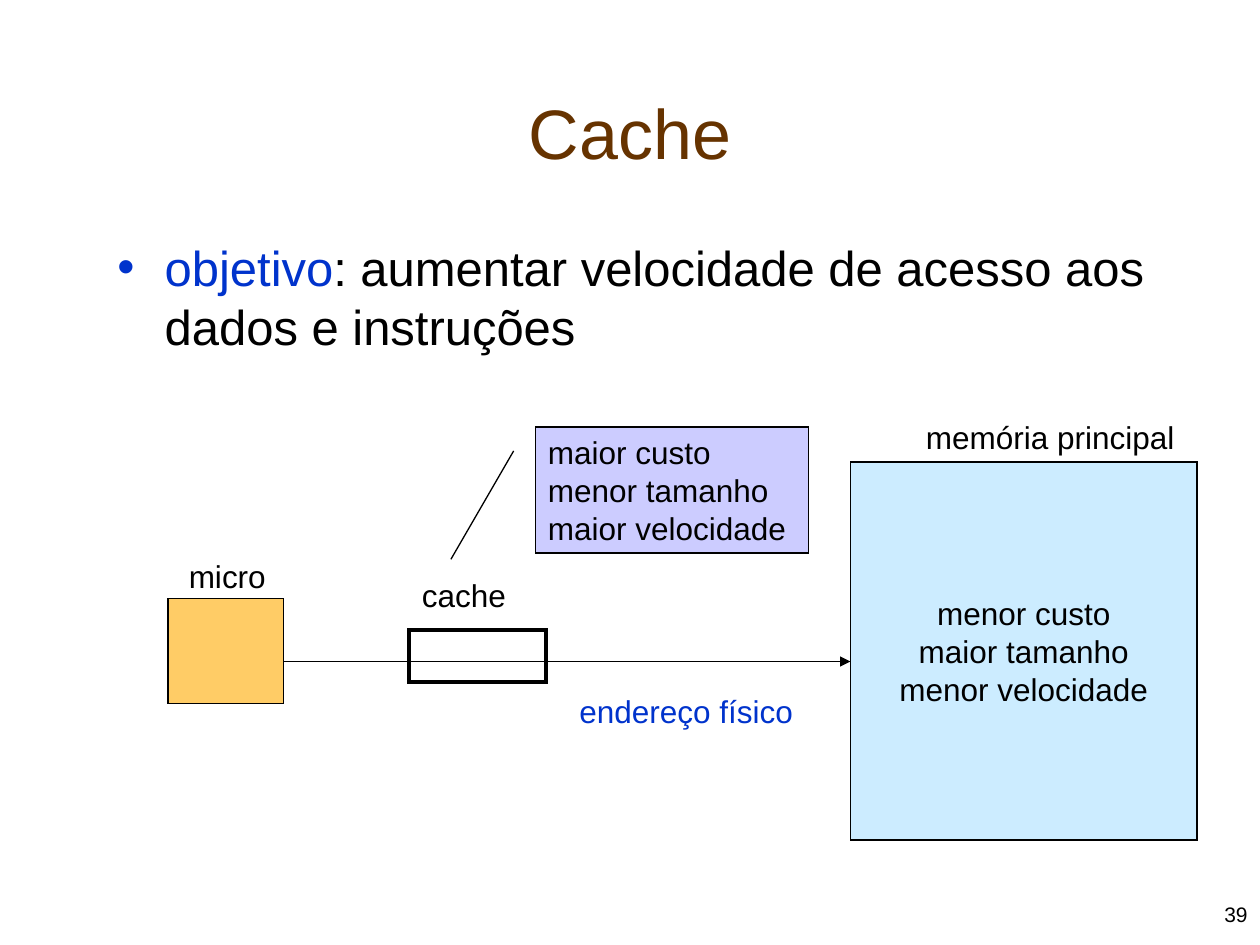
from dataclasses import dataclass

from lxml.etree import SubElement
from pptx import Presentation
from pptx.dml.color import RGBColor
from pptx.enum.shapes import MSO_CONNECTOR, MSO_SHAPE
from pptx.enum.text import MSO_ANCHOR, MSO_AUTO_SIZE, PP_ALIGN
from pptx.oxml.ns import qn
from pptx.util import Pt

BLACK = RGBColor(0x00, 0x00, 0x00)
WHITE = RGBColor(0xFF, 0xFF, 0xFF)
BLUE = RGBColor(0x00, 0x33, 0xCC)
BROWN = RGBColor(0x66, 0x33, 0x00)
AMBER = RGBColor(0xFF, 0xCC, 0x66)
SKY = RGBColor(0xCC, 0xEC, 0xFF)
LILAC = RGBColor(0xCC, 0xCC, 0xFF)
FONT = "Arial"
AXIS = 378  # height of the address line


@dataclass
class Box:
    left: float
    top: float
    width: float
    height: float
    fill: RGBColor
    line: float = 0.75
    kind: MSO_SHAPE = MSO_SHAPE.RECTANGLE
    adjust: tuple = ()


@dataclass
class Label:
    text: str
    left: float
    top: float
    width: float
    height: float = 29
    size: float = 18
    color: RGBColor = BLACK
    align: PP_ALIGN = PP_ALIGN.LEFT
    anchor: MSO_ANCHOR = MSO_ANCHOR.TOP
    wrap: bool = False


def put_text(shape, *lines, size: float = 18, color: RGBColor = BLACK,
             align: PP_ALIGN = PP_ALIGN.LEFT,
             anchor: MSO_ANCHOR = MSO_ANCHOR.TOP, wrap: bool = True):
    """Write lines; a line is a string or a list of (text, color) runs."""
    frame = shape.text_frame
    frame.word_wrap = wrap
    frame.vertical_anchor = anchor
    for index, line in enumerate(lines):
        para = frame.add_paragraph() if index else frame.paragraphs[0]
        para.alignment = align
        runs = [(line, color)] if isinstance(line, str) else line
        for text, tint in runs:
            run = para.add_run()
            run.text = text
            run.font.name = FONT
            run.font.size = Pt(size)
            run.font.color.rgb = tint
    return frame


def draw_box(slide, box: Box):
    shape = slide.shapes.add_shape(box.kind, Pt(box.left), Pt(box.top),
                                   Pt(box.width), Pt(box.height))
    shape.shadow.inherit = False
    shape.fill.solid()
    shape.fill.fore_color.rgb = box.fill
    shape.line.color.rgb = BLACK
    shape.line.width = Pt(box.line)
    SubElement(shape.line._get_or_add_ln(), qn("a:miter"), lim="800000")
    for index, value in enumerate(box.adjust):
        shape.adjustments[index] = value
    return shape


def add_area(slide, left: float, top: float, width: float, height: float):
    return slide.shapes.add_textbox(Pt(left), Pt(top), Pt(width), Pt(height))


def draw_label(slide, label: Label) -> None:
    area = add_area(slide, label.left, label.top, label.width, label.height)
    frame = put_text(area, label.text, size=label.size, color=label.color,
                     align=label.align, anchor=label.anchor, wrap=label.wrap)
    if not label.wrap:
        frame.auto_size = MSO_AUTO_SIZE.SHAPE_TO_FIT_TEXT


def draw_arrow(slide, start: float, end: float, level: float) -> None:
    arrow = slide.shapes.add_connector(MSO_CONNECTOR.STRAIGHT, Pt(start),
                                       Pt(level), Pt(end), Pt(level))
    arrow.line.color.rgb = BLACK
    arrow.line.width = Pt(0.75)
    SubElement(arrow.line._get_or_add_ln(), qn("a:tailEnd"), type="triangle")
    SubElement(arrow._element.spPr, qn("a:effectLst"))


def set_bullet(para, indent: float, color: RGBColor) -> None:
    props = para._p.get_or_add_pPr()
    props.set("marL", str(Pt(indent)))
    props.set("indent", str(-Pt(indent)))
    tint = SubElement(props, qn("a:buClr"))
    SubElement(tint, qn("a:srgbClr"), val=str(color))
    SubElement(props, qn("a:buFont"), typeface=FONT)
    SubElement(props, qn("a:buChar"), char="•")


def main() -> None:
    deck = Presentation()
    deck.slide_width, deck.slide_height = Pt(720), Pt(540)
    slide = deck.slides.add_slide(deck.slide_layouts[6])

    # Processor, cache and main memory
    micro = Box(96, 342, 66, 60, AMBER)
    cache = Box(234, 360, 78, 30, WHITE, line=2.25)
    memory = Box(486, 264, 198, 216, SKY)
    draw_box(slide, micro)
    draw_box(slide, cache)
    put_text(draw_box(slide, memory), "menor custo", "maior tamanho",
             "menor velocidade", align=PP_ALIGN.CENTER,
             anchor=MSO_ANCHOR.MIDDLE, wrap=False)

    # Address line
    draw_arrow(slide, micro.left + micro.width, memory.left, AXIS)

    # Cache callout
    note = Box(306, 244, 156, 72, LILAC, kind=MSO_SHAPE.LINE_CALLOUT_1,
               adjust=(0.19, -0.08, 1.05, -0.31))
    put_text(draw_box(slide, note), "maior custo", "menor tamanho",
             "maior velocidade")

    # Title, captions and slide number
    labels = [
        Label("Cache", 54, 30, 612, 90, size=40, color=BROWN,
              align=PP_ALIGN.CENTER, anchor=MSO_ANCHOR.MIDDLE, wrap=True),
        Label("memória principal", 522, 235.5, 157),
        Label("micro", 100.8, 314.5, 59),
        Label("cache", 234, 325.5, 63),
        Label("endereço físico", 324, 392, 137, color=BLUE),
        Label("39", 610, 511.5, 110, 28, size=12,
              align=PP_ALIGN.RIGHT, wrap=True),
    ]
    for label in labels:
        draw_label(slide, label)

    # Goal
    goal = [("objetivo", BLUE),
            (": aumentar velocidade de acesso aos dados e instruções", BLACK)]
    body = put_text(add_area(slide, 60, 132, 612, 324), goal, size=28)
    para = body.paragraphs[0]
    para.space_before = Pt(7)
    set_bullet(para, 27, BLUE)

    deck.save("out.pptx")


if __name__ == "__main__":
    main()
